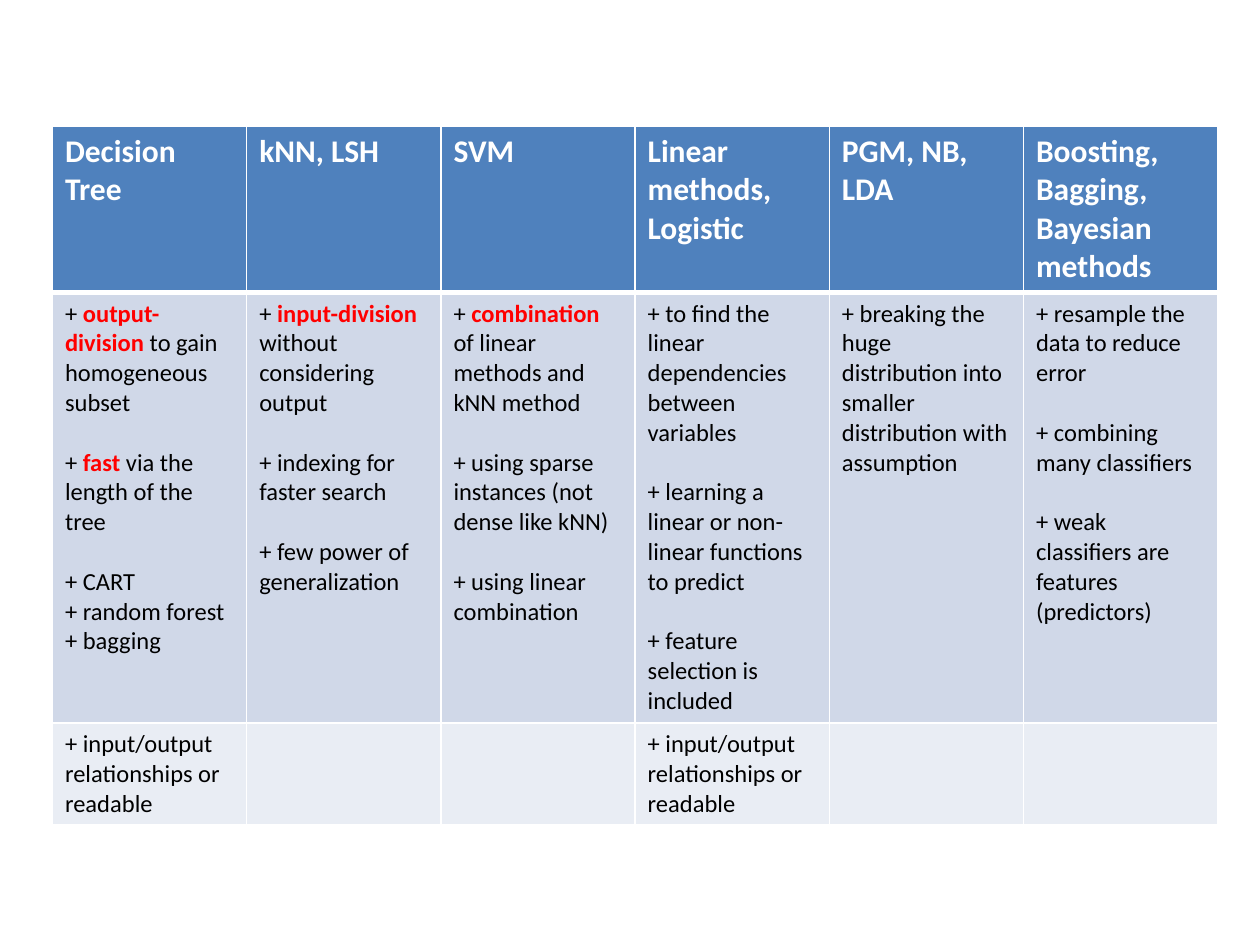
import pptx
import pptx.dml.color
import pptx.oxml
import pptx.oxml.ns
import pptx.util

Pt = pptx.util.Pt
RGBColor = pptx.dml.color.RGBColor

WHITE = RGBColor(0xFF, 0xFF, 0xFF)
BLACK = RGBColor(0x00, 0x00, 0x00)
RED = RGBColor(0xFF, 0x00, 0x00)
HEADER_BLUE = RGBColor(0x4F, 0x81, 0xBD)
BAND_DARK = RGBColor(0xD0, 0xD8, 0xE8)
BAND_LIGHT = RGBColor(0xE9, 0xED, 0xF4)


def write_paragraph(para, text, size, color, bold=False, gap=0):
    """Write text; words between asterisks are bold red, a newline is a line break."""
    para.space_before = Pt(gap)
    for part_number, part in enumerate(text.split("*")):
        marked = part_number % 2 == 1
        for line_number, line in enumerate(part.split("\n")):
            if line_number:
                para.add_line_break()
            if not line:
                continue
            span = para.add_run()
            span.text = line
            span.font.name = "Calibri"
            span.font.size = Pt(size)
            span.font.bold = bold or marked
            span.font.color.rgb = RED if marked else color


def set_borders(cell, bottom_width):
    """Draw white lines on all four sides of a cell."""
    properties = cell._tc.get_or_add_tcPr()
    for side, width in (("L", 1), ("R", 1), ("T", 1), ("B", bottom_width)):
        properties.append(pptx.oxml.parse_xml(
            f'<a:ln{side} {pptx.oxml.ns.nsdecls("a")} w="{Pt(width)}">'
            f'<a:solidFill><a:srgbClr val="{WHITE}"/></a:solidFill></a:ln{side}>'))


# Each cell is a list of groups, and each group is a list of paragraphs
headers = [
    [["Decision Tree"]],
    [["kNN, LSH"]],
    [["SVM"]],
    [["Linear methods, Logistic"]],
    [["PGM, NB, LDA"]],
    [["Boosting,", "Bagging, \nBayesian methods"]],
]
ideas = [
    [["+ *output-division* to gain homogeneous subset"],
     ["+ *fast* via the length of the tree"],
     ["+ CART", "+ random forest", "+ bagging"]],
    [["+ *input-division* without considering output"],
     ["+ indexing for faster search"],
     ["+ few power of generalization"]],
    [["+ *combination* of linear methods and kNN method"],
     ["+ using sparse instances (not dense like kNN)"],
     ["+ using linear combination"]],
    [["+ to find the linear dependencies between variables"],
     ["+ learning a linear or non-linear functions to predict"],
     ["+ feature selection is included"]],
    [["+ breaking the huge distribution into smaller distribution with assumption"]],
    [["+ resample the data to reduce error"],
     ["+ combining many classifiers"],
     ["+ weak classifiers are features (predictors)"]],
]
readable = [["+ input/output relationships or readable"]]
readability = [readable, [], [], readable, [], []]

# Cells, height, fill, text size, text colour, bold, bottom border
rows = [
    (headers, 95, HEADER_BLUE, 18, WHITE, True, 3),
    (ideas, 246, BAND_DARK, 14, BLACK, False, 1),
    (readability, 58, BAND_LIGHT, 14, BLACK, False, 1),
]
COLUMN_WIDTH = 111
GROUP_GAP = 17

# Slide
deck = pptx.Presentation()
deck.slide_width, deck.slide_height = Pt(720), Pt(540)
page = deck.slides.add_slide(deck.slide_layouts[6])

# Comparison table
table = page.shapes.add_table(
    len(rows), len(headers), Pt(30), Pt(72),
    Pt(COLUMN_WIDTH * len(headers)), Pt(sum(row[1] for row in rows))).table
for column in table.columns:
    column.width = Pt(COLUMN_WIDTH)

for row_number, (cells, height, fill, size, color, bold, bottom) in enumerate(rows):
    table.rows[row_number].height = Pt(height)
    for column_number, groups in enumerate(cells):
        cell = table.cell(row_number, column_number)
        set_borders(cell, bottom)
        cell.fill.solid()
        cell.fill.fore_color.rgb = fill
        frame = cell.text_frame
        for group_number, group in enumerate(groups):
            for line_number, text in enumerate(group):
                first = group_number == 0 and line_number == 0
                para = frame.paragraphs[0] if first else frame.add_paragraph()
                gap = GROUP_GAP if group_number and line_number == 0 else 0
                write_paragraph(para, text, size=size, color=color, bold=bold, gap=gap)

deck.save("out.pptx")
